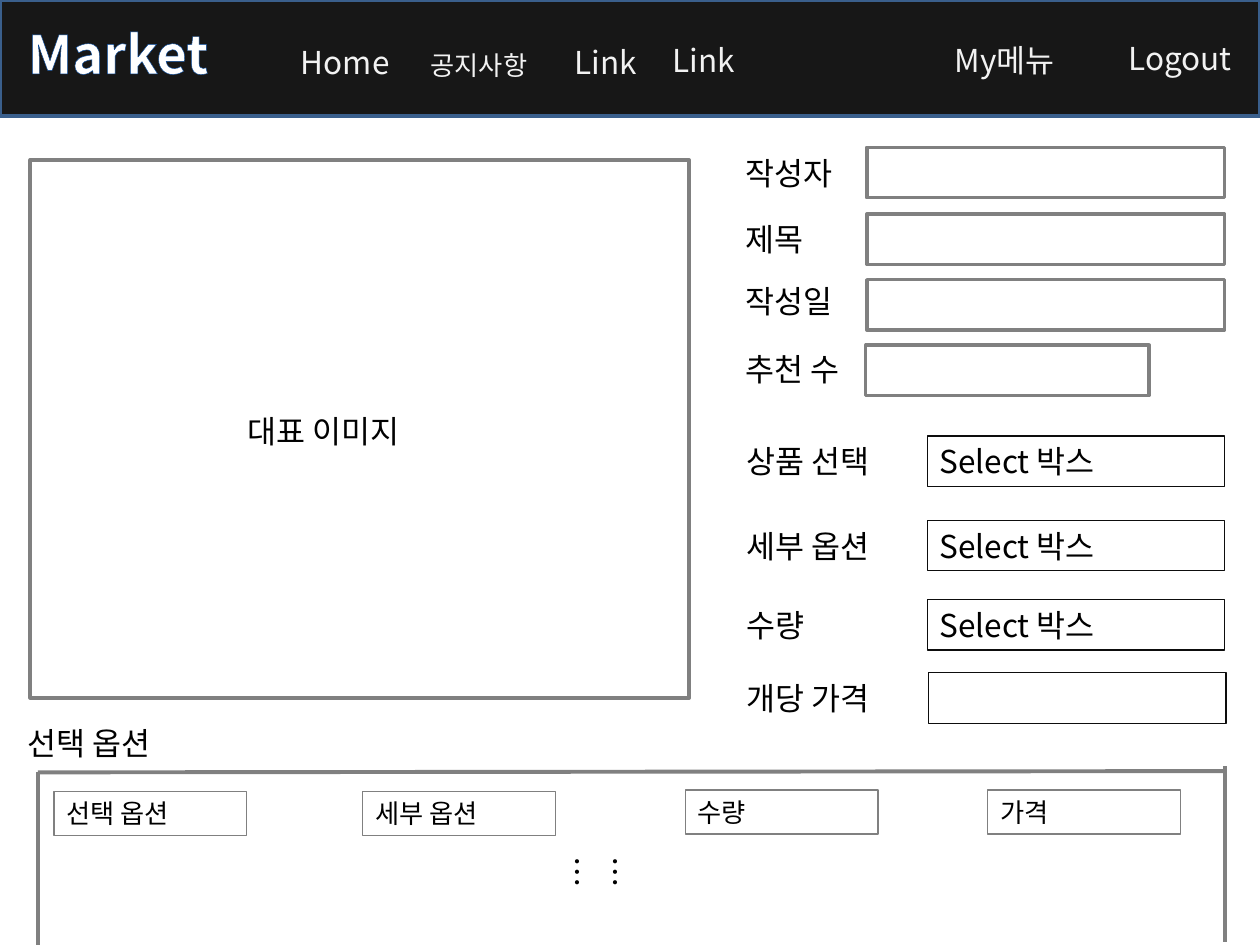
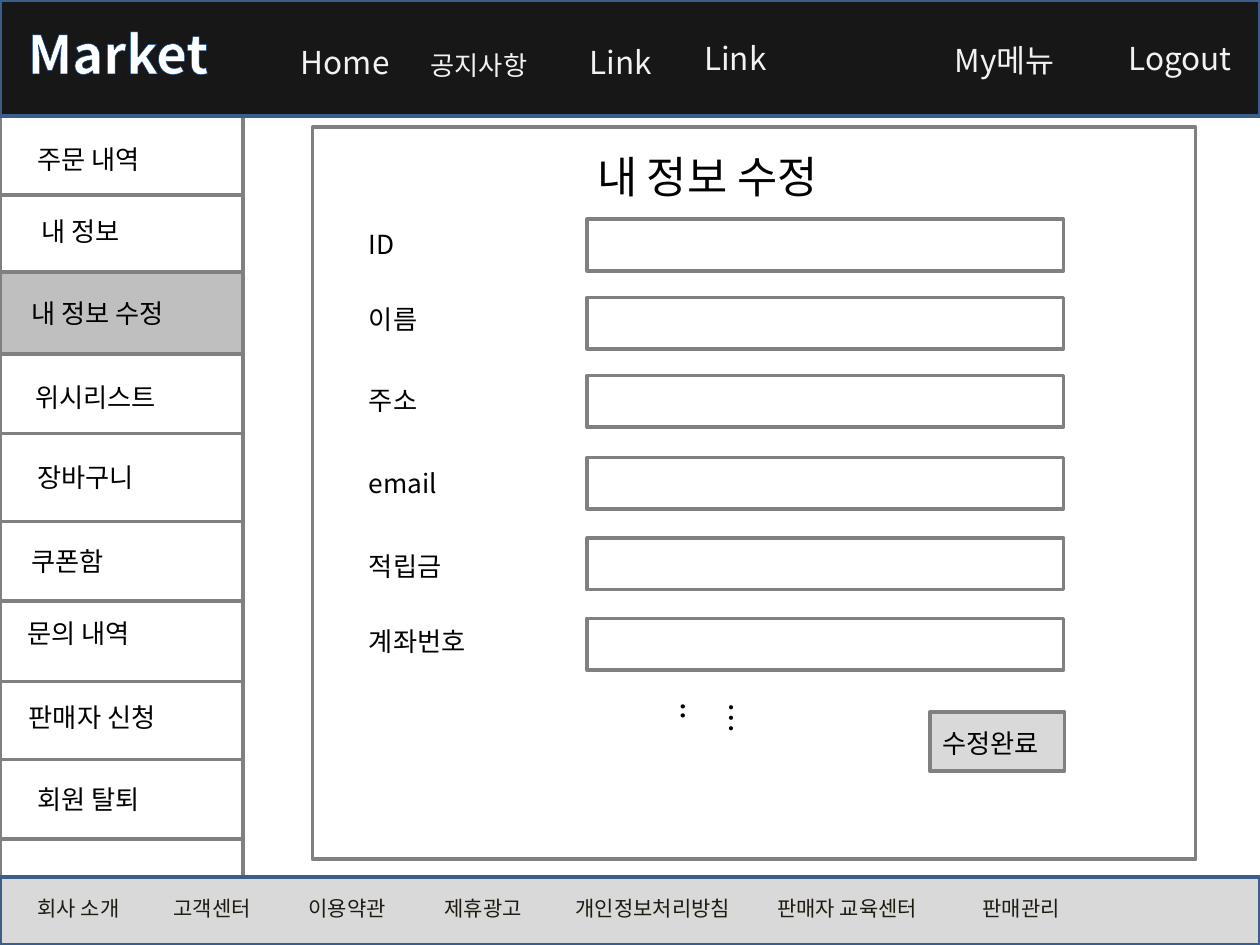
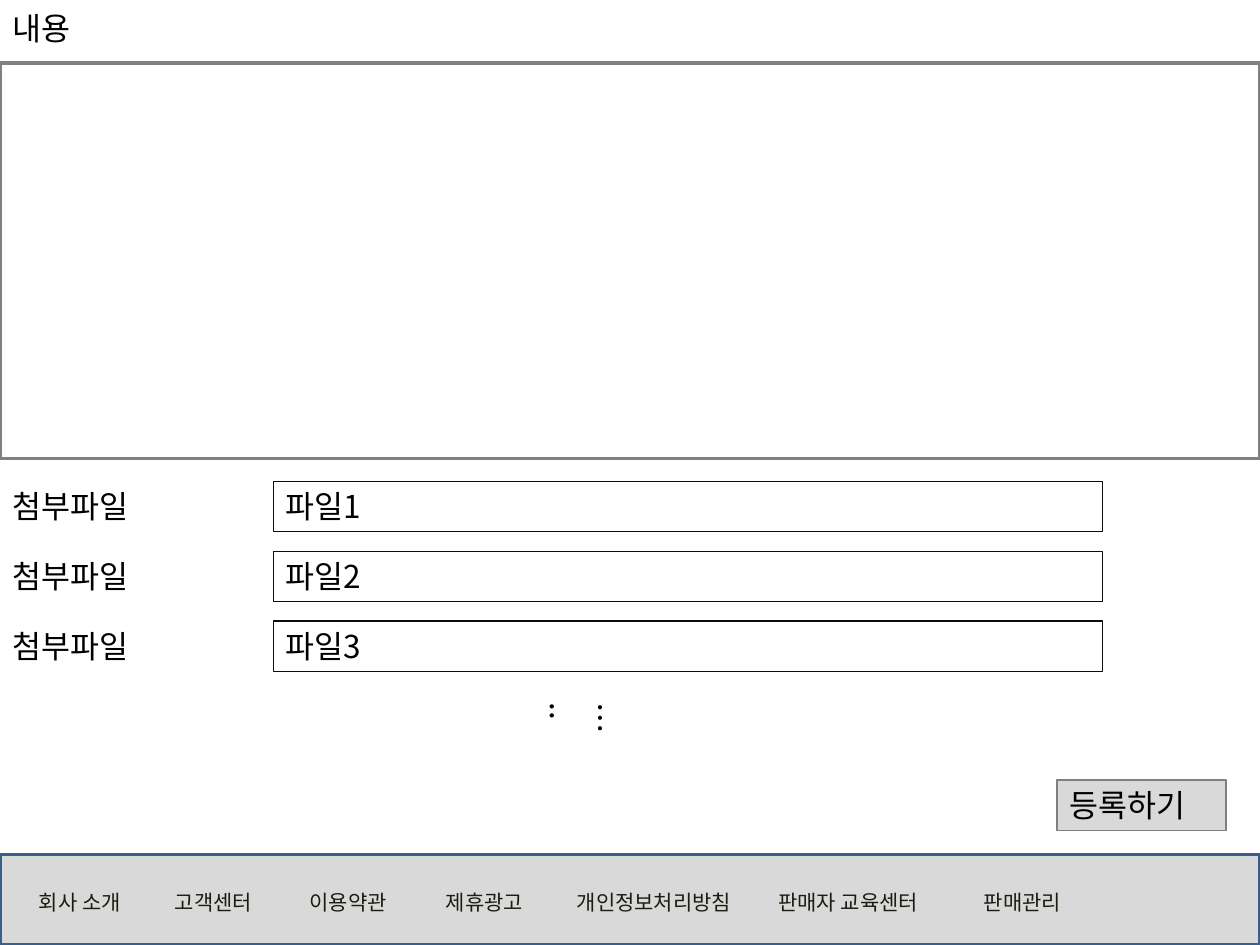
"""Build three wireframe slides of a market website."""
from dataclasses import dataclass
from itertools import pairwise
from typing import Optional

from lxml.etree import SubElement
from pptx import Presentation
from pptx.dml.color import RGBColor
from pptx.enum.shapes import MSO_CONNECTOR, MSO_SHAPE
from pptx.enum.text import MSO_ANCHOR, MSO_AUTO_SIZE
from pptx.oxml.ns import qn
from pptx.oxml.xmlchemy import OxmlElement
from pptx.shapes.autoshape import Shape
from pptx.slide import Slide
from pptx.util import Inches, Length, Pt

COLUMNS, ROWS = 100, 75
SLIDE_WIDTH, SLIDE_HEIGHT = Inches(10), Inches(7.5)
FONT = "Noto Sans CJK KR"
TEXT_ROWS = {12: 2.3, 15: 3.5, 18: 4, 25: 5.2, 30: 6.1}
HEADER_ROWS = 9.2
SIDEBAR_COLUMNS = 19.3
FOOTER_WORDS = ("회사 소개", "고객센터", "이용약관", "제휴광고",
                "개인정보처리방침", "판매자 교육센터", "판매관리")
FOOTER_STOPS = (10.8, 21.5, 32.3, 42.7, 58.7, 75)


@dataclass(frozen=True)
class Area:
    left: float
    top: float
    width: float
    height: float


@dataclass(frozen=True)
class Frame:
    fill: Optional[str]
    line: str
    weight: float


@dataclass(frozen=True)
class Label:
    text: str
    left: float
    top: float
    width: float = 15.3
    size: int = 18
    color: str = "000000"
    bold: bool = False
    outline: Optional[str] = None


FIELD = Frame("FFFFFF", "808080", 2)
ACTIVE = Frame("BFBFBF", "808080", 2)
BUTTON = Frame("D9D9D9", "808080", 2)
FLAT_BUTTON = Frame("D9D9D9", "808080", 0.75)
HEADING_BOX = Frame(None, "808080", 0.75)
SELECT_BOX = Frame(None, "0D0D0D", 0.75)
HEADER_BAND = Frame("171717", "3A5F8C", 2)
FOOTER_BAND = Frame("D9D9D9", "3A5F8C", 2)

HEADER_LABELS = (
    Label("Logout", 88.6, 2.6, 10.2, color="F2F2F2"),
    Label("My메뉴", 74.8, 2.8, 13.4, color="F2F2F2"),
    Label("Home", 22.9, 2.9, 10.2, color="F2F2F2"),
    Label("공지사항", 33.2, 3.4, 11.8, 15, "F2F2F2"),
    Label("Market", 1.2, 1.2, 22.8, 30, "FFFFFF", True, "054697"),
)
SIDEBAR_EDGES = (9.2, 15.5, 21.6, 28.1, 34.4, 41.4, 47.7, 54.1, 60.3, 66.6, 69.7)
SIDEBAR_LABELS = (
    Label("주문 내역", 2, 10.9, 16.5, 15),
    Label("내 정보", 2.3, 16.6, 16.5, 15),
    Label("내 정보 수정", 1.5, 23.1, 16.5, 15),
    Label("위시리스트", 1.8, 29.8, 16.5, 15),
    Label("장바구니", 2, 36.1, 16.5, 15),
    Label("쿠폰함", 1.5, 42.8, 16.5, 15),
    Label("문의 내역", 1.2, 48.5, 16.5, 15),
    Label("판매자 신청", 1.3, 55.2, 16.5, 15),
    Label("회원 탈퇴", 2, 61.7, 13.4, 15),
)


def across(columns: float) -> Length:
    """Turn grid columns into a length."""
    return Length(round(SLIDE_WIDTH * columns / COLUMNS))


def down(rows: float) -> Length:
    """Turn grid rows into a length."""
    return Length(round(SLIDE_HEIGHT * rows / ROWS))


def rgb(color: str) -> RGBColor:
    """Turn a hex string into a colour."""
    return RGBColor.from_string(color)


def apply_frame(shape: Shape, frame: Frame) -> None:
    """Give a shape its fill and border."""
    if frame.fill:
        shape.fill.solid()
        shape.fill.fore_color.rgb = rgb(frame.fill)
    else:
        shape.fill.background()
    shape.line.color.rgb = rgb(frame.line)
    shape.line.width = Pt(frame.weight)


def add_panel(slide: Slide, area: Area, frame: Frame) -> None:
    """Draw an empty rectangle."""
    shape = slide.shapes.add_shape(
        MSO_SHAPE.RECTANGLE, across(area.left), down(area.top),
        across(area.width), down(area.height))
    shape.shadow.inherit = False
    apply_frame(shape, frame)


def add_label(slide: Slide, label: Label, frame: Optional[Frame] = None,
              height: Optional[float] = None) -> Shape:
    """Draw a line of text, framed if asked."""
    shape = slide.shapes.add_textbox(
        across(label.left), down(label.top), across(label.width),
        down(height or TEXT_ROWS[label.size]))
    if frame:
        apply_frame(shape, frame)
    text_frame = shape.text_frame
    text_frame.word_wrap = True
    text_frame.auto_size = MSO_AUTO_SIZE.SHAPE_TO_FIT_TEXT
    text_frame.vertical_anchor = MSO_ANCHOR.TOP
    text_frame.text = label.text
    for run in text_frame.paragraphs[0].runs:
        run.font.name = FONT
        run.font.size = Pt(label.size)
        run.font.bold = label.bold
        run.font.color.rgb = rgb(label.color)
        properties = run.font._element
        east_asian = OxmlElement("a:ea")
        east_asian.set("typeface", FONT)
        properties.find(qn("a:latin")).addnext(east_asian)
        if label.outline:
            outline = OxmlElement("a:ln")
            outline.set("w", str(Pt(1)))
            fill = SubElement(outline, qn("a:solidFill"))
            SubElement(fill, qn("a:srgbClr")).set("val", label.outline)
            properties.insert(0, outline)
    return shape


def add_rule(slide: Slide, left: float, top: float, right: float, bottom: float) -> None:
    """Draw a grey line between two grid points."""
    connector = slide.shapes.add_connector(
        MSO_CONNECTOR.STRAIGHT, across(left), down(top), across(right), down(bottom))
    connector.line.color.rgb = rgb("808080")
    connector.line.width = Pt(2.25)
    SubElement(connector._element.spPr, qn("a:effectLst"))


def add_dots(slide: Slide, text: str, left: float, top: float, height: float) -> None:
    """Draw continuation dots that run downwards."""
    shape = add_label(slide, Label(text, left, top, 5), height=height)
    shape.text_frame._txBody.bodyPr.set("vert", "eaVert")


def add_header(slide: Slide, *links: Label) -> None:
    """Draw the dark menu band with its links."""
    add_panel(slide, Area(0, 0, COLUMNS, HEADER_ROWS), HEADER_BAND)
    for label in HEADER_LABELS + links:
        add_label(slide, label)


def add_footer(slide: Slide, top: float, text_left: float, text_top: float) -> None:
    """Draw the grey band with its links on tab stops."""
    add_panel(slide, Area(0, top, COLUMNS, ROWS - top), FOOTER_BAND)
    shape = add_label(slide, Label("\t".join(FOOTER_WORDS), text_left, text_top,
                                   95.3, 12, "1E1C11"))
    properties = shape.text_frame.paragraphs[0]._p.get_or_add_pPr()
    tabs = SubElement(properties, qn("a:tabLst"))
    for stop in FOOTER_STOPS:
        tab = SubElement(tabs, qn("a:tab"))
        tab.set("pos", str(across(stop)))
        tab.set("algn", "l")


def build_product(slide: Slide) -> None:
    """Draw the product page."""
    add_header(slide, Label("Link", 44.6, 2.9, 7.8, color="F2F2F2"),
               Label("Link", 52.4, 2.8, 9.7, color="F2F2F2"))
    for text, label_top, field in (
            ("작성자", 11.7, Area(68.8, 11.7, 28.4, 4)),
            ("제목", 17, Area(68.8, 17, 28.4, 4)),
            ("작성일", 21.9, Area(68.8, 22.2, 28.4, 4)),
            ("추천 수", 27.3, Area(68.7, 27.4, 22.5, 4))):
        add_label(slide, Label(text, 58.2, label_top, 12.6))
        add_panel(slide, field, FIELD)
    for text, top in (("상품 선택", 34.6), ("세부 옵션", 41.3), ("수량", 47.6)):
        add_label(slide, Label(text, 58.3, top))
        add_label(slide, Label("Select 박스", 73.6, top, 23.6), SELECT_BOX)
    add_label(slide, Label("개당 가격", 58.3, 53.4))
    add_panel(slide, Area(73.7, 53.4, 23.6, 4), SELECT_BOX)
    add_panel(slide, Area(2.4, 12.7, 52.3, 42.7), FIELD)
    add_label(slide, Label("대표 이미지", 18.7, 32.2, 19.7))
    add_label(slide, Label("선택 옵션", 1.2, 57))
    add_rule(slide, 3, 61.3, 3, 75.3)
    add_rule(slide, 97.2, 60.8, 97.2, 74.8)
    add_rule(slide, 3, 61.3, 97.2, 61.2)
    for text, left, top in (("선택 옵션", 4.3, 62.8), ("세부 옵션", 28.8, 62.8),
                            ("수량", 54.4, 62.7), ("가격", 78.4, 62.7)):
        add_label(slide, Label(text, left, top, size=15), HEADING_BOX)
    add_dots(slide, "……", 45.9, 67, 4.8)


def build_profile(slide: Slide) -> None:
    """Draw the profile editing page with its side menu."""
    title = "내 정보 수정"
    add_panel(slide, Area(0, HEADER_ROWS, SIDEBAR_COLUMNS, 60.5), FIELD)
    for label, (top, bottom) in zip(SIDEBAR_LABELS, pairwise(SIDEBAR_EDGES)):
        frame = ACTIVE if label.text == title else FIELD
        add_panel(slide, Area(0, top, SIDEBAR_COLUMNS, bottom - top), frame)
        add_label(slide, label)
    add_panel(slide, Area(24.8, 10.1, 70.1, 58.1), FIELD)
    add_label(slide, Label(title, 46.4, 11.4, 27.4, 25))
    for text, label_top, field_top in (
            ("ID", 17.6, 17.4), ("이름", 23.6, 23.6), ("주소", 30, 29.8),
            ("email", 36.6, 36.3), ("적립금", 43.2, 42.7), ("계좌번호", 49.1, 49.1)):
        add_label(slide, Label(text, 28.3, label_top, 16.5, 15))
        add_panel(slide, Area(46.6, field_top, 37.8, 4.1), FIELD)
    add_dots(slide, "…..", 55.1, 54.8, 4.7)
    add_panel(slide, Area(73.8, 56.5, 10.7, 4.7), BUTTON)
    add_label(slide, Label("수정완료", 73.8, 57.2, 10.7, 15))
    add_header(slide, Label("Link", 45.8, 2.9, 10.2, color="F2F2F2"),
               Label("Link", 54.9, 2.6, 10.2, color="F2F2F2"))
    add_footer(slide, 69.6, 2, 70.6)


def build_posting(slide: Slide) -> None:
    """Draw the content and attachment page."""
    add_footer(slide, 67.8, 2.1, 70.1)
    add_label(slide, Label("내용", 0, 0.2, 12.6))
    add_panel(slide, Area(0, 5, COLUMNS, 31.4), FIELD)
    for index in range(3):
        top = 38.2 + 5.55 * index
        add_label(slide, Label("첨부파일", 0, top, 15.4))
        add_label(slide, Label(f"파일{index + 1}", 21.7, top, 65.8), SELECT_BOX)
    add_dots(slide, "…..", 44.7, 54.8, 3.9)
    add_label(slide, Label("등록하기", 83.9, 61.9, 13.4), FLAT_BUTTON)


def main() -> None:
    """Build the slides and save the presentation."""
    presentation = Presentation()
    presentation.slide_width = SLIDE_WIDTH
    presentation.slide_height = SLIDE_HEIGHT
    blank_layout = presentation.slide_layouts[6]
    for build in (build_product, build_profile, build_posting):
        build(presentation.slides.add_slide(blank_layout))
    presentation.save("out.pptx")


if __name__ == "__main__":
    main()
